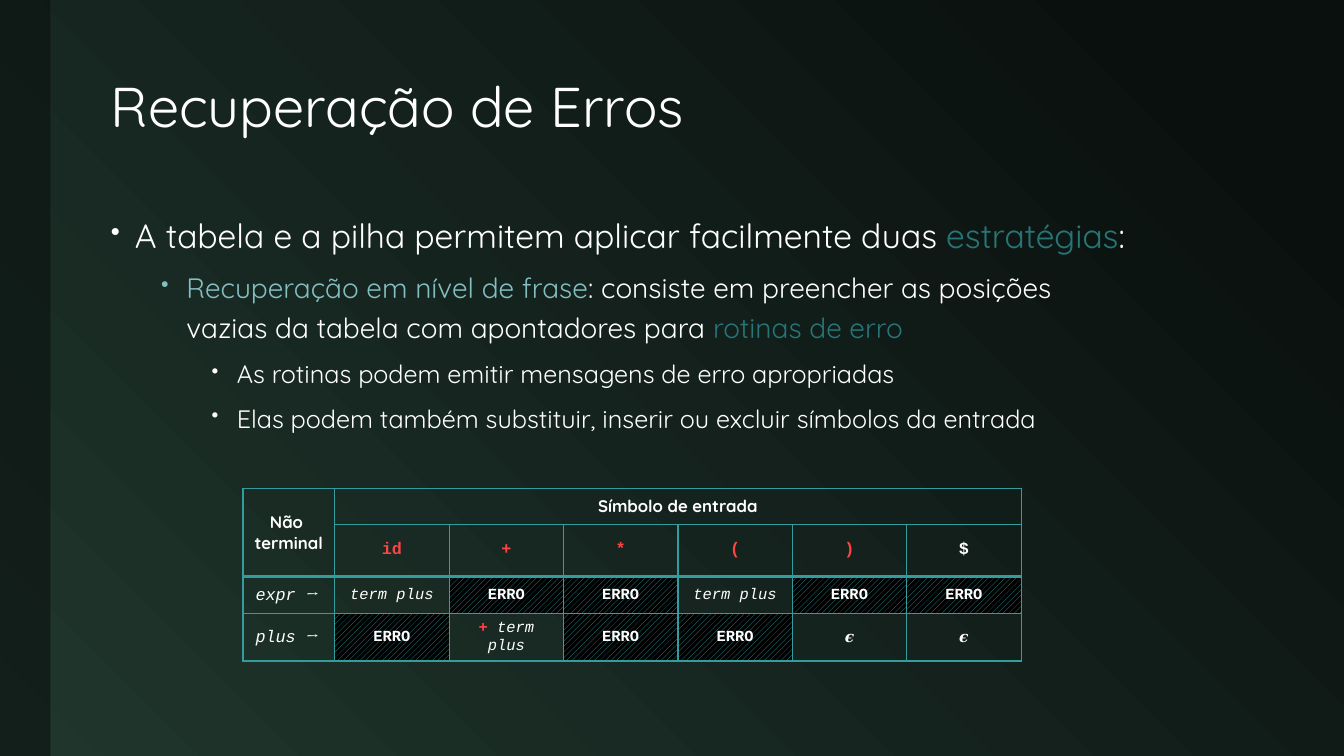
from dataclasses import dataclass

from lxml.etree import SubElement
from pptx import Presentation
from pptx.dml.color import RGBColor
from pptx.enum.dml import MSO_PATTERN
from pptx.enum.shapes import MSO_SHAPE
from pptx.enum.text import MSO_ANCHOR, PP_ALIGN
from pptx.oxml.ns import qn
from pptx.util import Inches, Pt


@dataclass(frozen=True)
class Theme:
    """Colours, fonts and type sizes of the slide."""
    dark: str = "0A100E"
    green: str = "20362D"
    white: str = "FFFFFF"
    black: str = "000000"
    teal: str = "267577"
    pale: str = "83BEC0"
    grid: str = "339C9F"
    red: str = "FF4343"
    sans: str = "Quicksand"
    mono: str = "Courier New"
    serif: str = "Cambria"
    title: int = 40
    levels: tuple = (24, 20, 18)
    head: int = 12
    entry: int = 11


T = Theme()
WIDTH, HEIGHT = 13.33, 7.5
INDENTS = ((0.24, 0.24), (0.75, 0.25), (1.25, 0.25))

BULLETS = [
    (0, [("A tabela e a pilha permitem aplicar facilmente duas ", T.white),
         ("estratégias", T.teal), (":", T.white)]),
    (1, [("Recuperação em nível de frase", T.pale),
         (": consiste em preencher as posições \nvazias da tabela com apontadores para ", T.white),
         ("rotinas de erro", T.teal)]),
    (2, [("As rotinas podem emitir mensagens de erro apropriadas", T.white)]),
    (2, [("Elas podem também substituir, inserir ou excluir símbolos da entrada", T.white)]),
]

STYLES = {
    "head": dict(name=T.sans, size=T.head, bold=True),
    "symbol": dict(name=T.mono, size=T.head, color=T.red, bold=True),
    "end": dict(name=T.mono, size=T.head, bold=True),
    "label": dict(name=T.mono, size=T.head, italic=True),
    "arrow": dict(name=T.serif, size=T.head, italic=True),
    "rule": dict(name=T.mono, size=T.entry, italic=True),
    "token": dict(name=T.mono, size=T.entry, color=T.red, bold=True),
    "error": dict(name=T.mono, size=T.entry, bold=True),
    "empty": dict(name=T.serif, size=T.entry, italic=False),
}
ERROR = [("ERRO", "error")]
TERM_PLUS = [("term plus", "rule")]
EMPTY = [("𝝐", "empty")]
ROWS = [
    [[("Não \nterminal", "head")], [("Símbolo de entrada", "head")]] + [[]] * 5,
    [[]] + [[(c, "symbol")] for c in ("id", "+", "*", "(", ")")] + [[("$", "end")]],
    [[("expr ", "label"), ("→ ", "arrow")], TERM_PLUS, ERROR, ERROR, TERM_PLUS, ERROR, ERROR],
    [[("plus ", "label"), ("→ ", "arrow")], ERROR, [("+ ", "token")] + TERM_PLUS,
     ERROR, ERROR, EMPTY, EMPTY],
]
ROW_HEIGHTS = (0.35, 0.52, 0.37, 0.45)


def rgb(color):
    """Turn a hex string into a colour."""
    return RGBColor.from_string(color)


def inches(box):
    """Turn a box in inches into slide lengths."""
    return [Inches(v) for v in box]


def write(p, text, name=T.sans, size=T.head, color=T.white, bold=False, italic=False):
    """Append formatted text to a paragraph, breaking lines at newlines."""
    for i, line in enumerate(text.split("\n")):
        if i:
            p.add_line_break()
        r = p.add_run()
        r.text = line
        r.font.name, r.font.size = name, Pt(size)
        r.font.bold, r.font.italic = bold, italic
        r.font.color.rgb = rgb(color)


def add_backdrop(s, box):
    """Fill the background and lay the translucent band in the box."""
    fill = s.background.fill
    fill.gradient()
    fill.gradient_angle = 225
    for stop, color, at in zip(fill.gradient_stops, (T.dark, T.green), (0.1, 1)):
        stop.color.rgb = rgb(color)
        stop.position = at
    sp = s.shapes.add_shape(MSO_SHAPE.RECTANGLE, *inches(box))
    sp.shadow.inherit = False
    sp.fill.solid()
    sp.fill.fore_color.rgb = rgb(T.dark)
    sp.line.fill.background()
    color = sp.fill._xPr.find(qn("a:solidFill"))[0]
    SubElement(color, qn("a:alpha"), val="60000")


def add_title(s, box, text):
    """Place and format the title placeholder."""
    sp = s.shapes.title
    sp.left, sp.top, sp.width, sp.height = inches(box)
    tf = sp.text_frame
    tf.vertical_anchor = MSO_ANCHOR.MIDDLE
    p = tf.paragraphs[0]
    p.alignment = PP_ALIGN.LEFT
    p.line_spacing = 0.9
    write(p, text, size=T.title)


def add_bullets(s, box, items):
    """Write the bulleted paragraphs in the box."""
    tf = s.shapes.add_textbox(*inches(box)).text_frame
    tf.word_wrap = True
    for i, (level, runs) in enumerate(items):
        p = tf.add_paragraph() if i else tf.paragraphs[0]
        p.level = level
        margin, hang = INDENTS[level]
        pPr = p._p.get_or_add_pPr()
        pPr.set("marL", str(Inches(margin)))
        pPr.set("indent", str(-Inches(hang)))
        SubElement(pPr, qn("a:buSzPct"), val="80000")
        SubElement(pPr, qn("a:buChar"), char="•")
        p.line_spacing = 1.2
        p.space_before = Pt(6 if i else 0)
        for text, color in runs:
            write(p, text, size=T.levels[level], color=color)


def add_borders(cell, top, bottom):
    """Draw the four borders of a cell, with widths in points."""
    tcPr = cell._tc.get_or_add_tcPr()
    for side, width in (("L", 1), ("R", 1), ("T", top), ("B", bottom)):
        ln = SubElement(tcPr, qn(f"a:ln{side}"), w=str(Pt(width)))
        SubElement(SubElement(ln, qn("a:solidFill")), qn("a:srgbClr"), val=T.grid)


def fill_cell(cell, runs):
    """Write a centred cell, hatching it when it holds an error."""
    cell.vertical_anchor = MSO_ANCHOR.MIDDLE
    if runs == ERROR:
        cell.fill.patterned()
        cell.fill.pattern = MSO_PATTERN.WIDE_UPWARD_DIAGONAL
        cell.fill.fore_color.rgb = rgb(T.grid)
        cell.fill.back_color.rgb = rgb(T.black)
    else:
        cell.fill.background()
    p = cell.text_frame.paragraphs[0]
    p.alignment = PP_ALIGN.CENTER
    for text, style in runs:
        write(p, text, **STYLES[style])


def add_parse_table(s, box, rows):
    """Build the parsing table in the box, with a narrower label column."""
    count = len(rows[0])
    table = s.shapes.add_table(len(rows), count, *inches(box)).table
    table.first_row = table.horz_banding = False
    label = 0.91
    for i, column in enumerate(table.columns):
        column.width = Inches((box[2] - label) / (count - 1) if i else label)
    for row, height in zip(table.rows, ROW_HEIGHTS):
        row.height = Inches(height)
    for i, row in enumerate(rows):
        for j, runs in enumerate(row):
            cell = table.cell(i, j)
            add_borders(cell, 2.25 if i == 2 else 1, 2.25 if i == 1 else 1)
            fill_cell(cell, runs)
    table.cell(0, 0).merge(table.cell(1, 0))
    table.cell(0, 1).merge(table.cell(0, count - 1))


def main():
    """Build and save the slide."""
    prs = Presentation()
    prs.slide_width, prs.slide_height = Inches(WIDTH), Inches(HEIGHT)
    s = prs.slides.add_slide(prs.slide_layouts[5])
    add_backdrop(s, (0, 0, 0.5, HEIGHT))
    add_title(s, (1, 0.42, 11.65, 1.33), "Recuperação de Erros")
    add_bullets(s, (1, 2, 11.65, 2.6), BULLETS)
    add_parse_table(s, (2.41, 4.85, 7.72, sum(ROW_HEIGHTS)), ROWS)
    prs.save("out.pptx")


if __name__ == "__main__":
    main()
